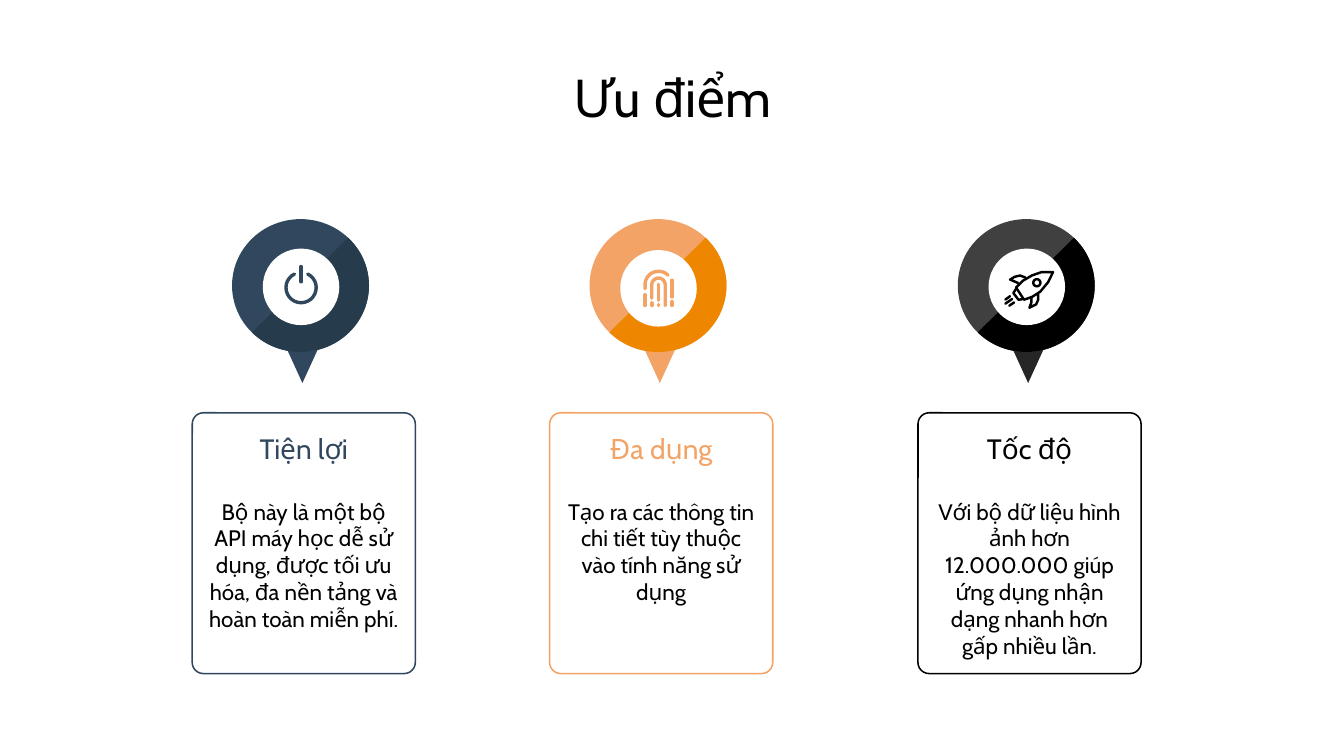
import math

import pptx
import pptx.dml.color
import pptx.enum.dml
import pptx.enum.shapes
import pptx.enum.text
import pptx.oxml
import pptx.util

Pt = pptx.util.Pt
SHAPE = pptx.enum.shapes.MSO_SHAPE
ANCHOR = pptx.enum.text.MSO_ANCHOR

FONT = "Cabin"
BLACK, WHITE = "000000", "FFFFFF"
NAVY, ORANGE = "30475E", "F2A365"
CARD_W, CARD_TOP, CARD_H = 119.5, 221.2, 139.7
PIN_X = 58.3  # pin centre, from the left edge of its card
PIN_Y = 153.7


def rgb(value):
    return pptx.dml.color.RGBColor.from_string(value)


def set_attrs(obj, values):
    for name, value in values.items():
        setattr(obj, name, value)


def sub_element(parent, tag):
    el = pptx.oxml.parse_xml(
        f'<a:{tag} xmlns:a="http://schemas.openxmlformats.org/drawingml/2006/main"/>')
    parent.append(el)


def write_text(sp, text, size, color, anchor):
    tf = sp.text_frame
    set_attrs(tf, {
        "word_wrap": True,
        "auto_size": pptx.enum.text.MSO_AUTO_SIZE.NONE,
        "vertical_anchor": anchor,
        "margin_left": Pt(7.2), "margin_right": Pt(7.2),
        "margin_top": Pt(7.2), "margin_bottom": Pt(7.2),
    })
    p = tf.paragraphs[0]
    p.alignment = pptx.enum.text.PP_ALIGN.CENTER
    r = p.add_run()
    r.text = text
    set_attrs(r.font, {"name": FONT, "size": Pt(size), "bold": False})
    r.font.color.rgb = rgb(color)


def add_text(s, left, top, height, text, size, color, anchor):
    sp = s.shapes.add_textbox(Pt(left), Pt(top), Pt(CARD_W), Pt(height))
    write_text(sp, text, size, color, anchor)


def add_filled(s, kind, cx, cy, width, height, color):
    """Add a preset shape without outline, centred on a point."""
    sp = s.shapes.add_shape(kind, Pt(cx - width / 2), Pt(cy - height / 2),
                            Pt(width), Pt(height))
    sp.shadow.inherit = False
    sp.fill.solid()
    sp.fill.fore_color.rgb = rgb(color)
    sp.line.fill.background()
    return sp


def format_stroke(sp, color, width):
    sp.line.color.rgb = rgb(color)
    sp.line.width = Pt(width)
    sp.line._get_or_add_ln().set("cap", "rnd")


def add_line(s, cx, cy, start, end, color, width):
    sp = s.shapes.add_connector(
        pptx.enum.shapes.MSO_CONNECTOR.STRAIGHT,
        Pt(cx + start[0]), Pt(cy + start[1]), Pt(cx + end[0]), Pt(cy + end[1]))
    format_stroke(sp, color, width)
    sub_element(sp._element.spPr, "effectLst")


def add_outline(s, cx, cy, points, color, width, close=False):
    pts = [(Pt(cx + x), Pt(cy + y)) for x, y in points]
    fb = s.shapes.build_freeform(*pts[0])
    fb.add_line_segments(pts[1:], close=close)
    sp = fb.convert_to_shape()
    sp.shadow.inherit = False
    sp.fill.background()
    format_stroke(sp, color, width)


def arc(x, y, radius, start, end, steps=24):
    """Points of a clockwise arc, with angles in degrees from the right."""
    angles = [math.radians(start + (end - start) * i / steps) for i in range(steps + 1)]
    return [(x + radius * math.cos(a), y + radius * math.sin(a)) for a in angles]


def draw_power(s, cx, cy, color):
    add_outline(s, cx, cy, arc(0, 0.4, 8.1, -64, 244), color, 1.8)
    add_line(s, cx, cy, (0, -10.9), (0, -2.7), color, 1.8)


def draw_fingerprint(s, cx, cy, color):
    outer = [(-7.2, 1)] + arc(0, -1.1, 7.2, 180, 315)
    inner = [(-3.6, 6.1)] + arc(0, -1.1, 3.6, 180, 360) + [(3.6, 10)]
    for points in (outer, inner):
        add_outline(s, cx, cy, points, color, 1.8)
    ridges = [(-7.2, 4.2, 10), (-3.6, 8.6, 10), (0, -1.4, 7.2),
              (0, 9.4, 10), (7.2, -3.6, 5.4), (7.2, 7.9, 10)]
    for x, top, bottom in ridges:
        add_line(s, cx, cy, (x, top), (x, bottom), color, 1.8)


def draw_rocket(s, cx, cy, color):
    cx, cy = cx + 1.4, cy + 0.4
    body = [(-7.2, 0), (-3.6, -3.6), (1.4, -6.5), (6.5, -8.3), (12.6, -8.3),
            (10, -2.9), (5.8, 2.2), (1.4, 5), (-2.9, 6.5)]
    upper_fin = [(-2.2, -5.4), (-5, -6.5), (-7.9, -5.8), (-10.4, -4.3), (-6.1, -2.5)]
    lower_fin = [(4.7, 3.6), (4.7, 6.5), (3.6, 9), (0, 10.8), (1.1, 7.9), (1.1, 5.8)]
    nozzle = [(-7.2, 0.7), (-8.6, 2.9), (-5.8, 6.5), (-3.2, 6.1)]
    window = arc(4, -2.6, 1.9, 0, 345)
    for points, close in ((body, True), (upper_fin, False), (lower_fin, False),
                          (nozzle, False), (window, True)):
        add_outline(s, cx, cy, points, color, 1.3, close)
    flames = [((-12.9, 8.6), (-9.3, 6.1)), ((-12.9, 6.4), (-10.4, 4.6)),
              ((-10.8, 9.7), (-8.2, 7.9))]
    for start, end in flames:
        add_line(s, cx, cy, start, end, color, 1.3)


def add_pin(s, cx, light, dark, tip, hole_shift):
    add_filled(s, SHAPE.FLOWCHART_MERGE, cx + 0.7, 193.7, 21, 23, tip)
    ring = (cx - 0.3, 153, 73.4, 71.2)
    add_filled(s, SHAPE.OVAL, *ring, light)
    half = add_filled(s, SHAPE.CHORD, *ring, dark)
    # Angle adjustments count 0.6 per degree
    half.adjustments[0] = 315 * 0.6
    half.adjustments[1] = 136 * 0.6
    add_filled(s, SHAPE.OVAL, cx, PIN_Y + hole_shift, 41, 41, WHITE)


def add_card(s, left, color, title, text):
    sp = s.shapes.add_shape(SHAPE.ROUNDED_RECTANGLE, Pt(left), Pt(CARD_TOP),
                            Pt(CARD_W), Pt(CARD_H))
    sp.shadow.inherit = False
    sp.adjustments[0] = 0.05
    sp.fill.background()
    sp.line.color.rgb = rgb(color)
    sp.line.width = Pt(0.81)
    add_text(s, left, CARD_TOP, 38, title, 15, color, ANCHOR.MIDDLE)
    add_text(s, left, CARD_TOP + 38.2, 96, text, 12, BLACK, ANCHOR.TOP)


def main():
    prs = pptx.Presentation()
    prs.slide_width, prs.slide_height = Pt(720), Pt(405)
    s = prs.slides.add_slide(prs.slide_layouts[5])

    # Title
    title = s.shapes.title
    set_attrs(title, {"left": Pt(56), "top": Pt(32.4),
                      "width": Pt(608.4), "height": Pt(38.2)})
    write_text(title, "Ưu điểm", 28, BLACK, ANCHOR.MIDDLE)

    # Advantages: left, light, dark, tip, hole shift, icon, heading, text
    advantages = [
        (103, NAVY, "263C4C", NAVY, 0, draw_power, NAVY, "Tiện lợi",
         "Bộ này là một bộ API máy học dễ sử dụng, được tối ưu hóa, "
         "đa nền tảng và hoàn toàn miễn phí."),
        (294.5, ORANGE, "EF8600", ORANGE, 0.8, draw_fingerprint, ORANGE, "Đa dụng",
         "Tạo ra các thông tin chi tiết tùy thuộc vào tính năng sử dụng"),
        (491.8, "404040", BLACK, "262626", 0, draw_rocket, BLACK, "Tốc độ",
         "Với bộ dữ liệu hình ảnh hơn 12.000.000 giúp ứng dụng nhận "
         "dạng nhanh hơn gấp nhiều lần."),
    ]
    for left, light, dark, tip, shift, draw_icon, color, heading, text in advantages:
        add_card(s, left, color, heading, text)
        add_pin(s, left + PIN_X, light, dark, tip, shift)
        draw_icon(s, left + PIN_X, PIN_Y, color)

    prs.save("out.pptx")


if __name__ == "__main__":
    main()
